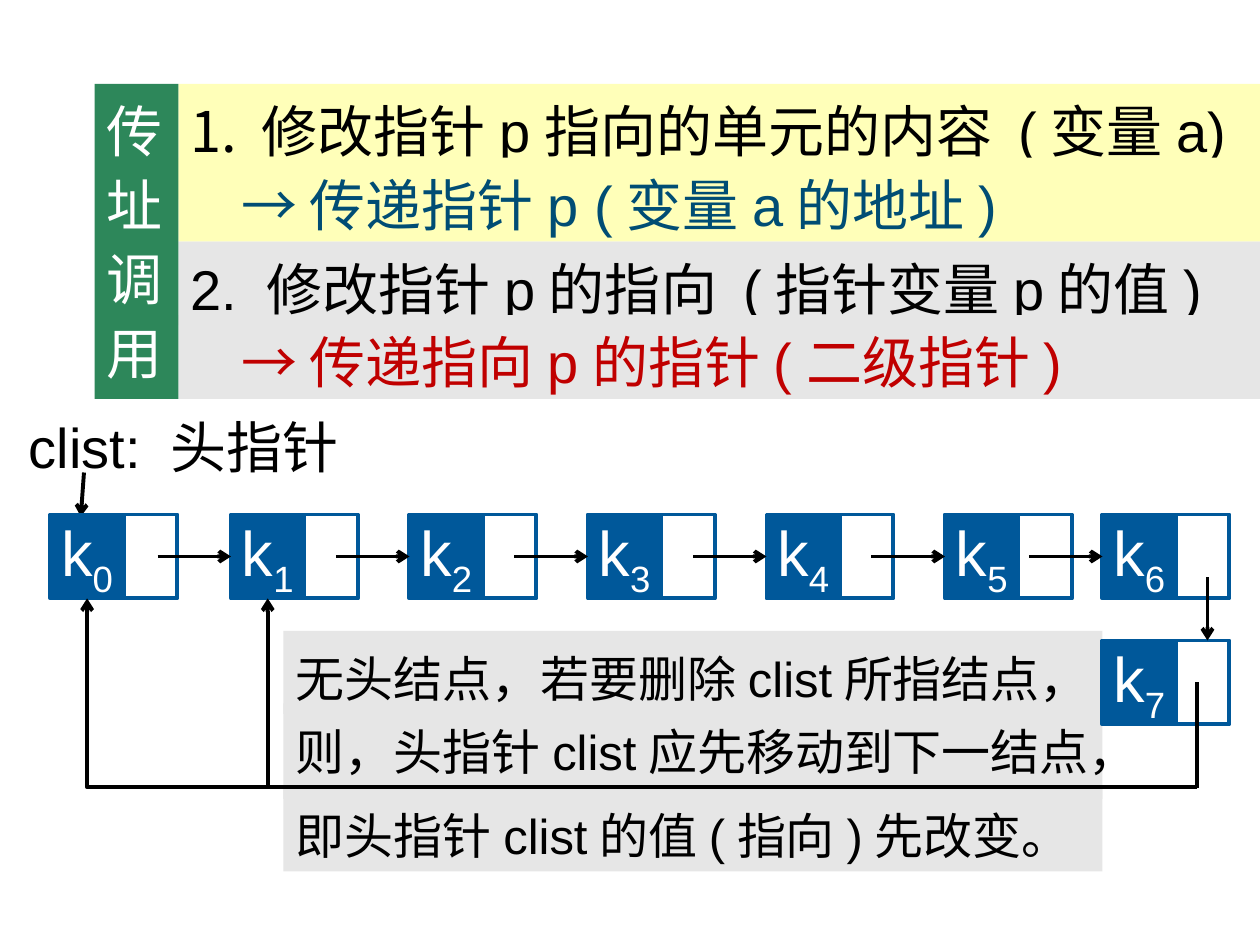
from lxml import etree
from pptx import Presentation
from pptx.dml.color import RGBColor
from pptx.enum.shapes import MSO_CONNECTOR, MSO_SHAPE
from pptx.enum.text import MSO_ANCHOR, MSO_AUTO_SIZE, PP_ALIGN
from pptx.oxml.ns import qn
from pptx.util import Inches, Pt

RECT = MSO_SHAPE.RECTANGLE
STRAIGHT = MSO_CONNECTOR.STRAIGHT
TOP, MIDDLE = MSO_ANCHOR.TOP, MSO_ANCHOR.MIDDLE
LEFT, CENTER, JUSTIFY = PP_ALIGN.LEFT, PP_ALIGN.CENTER, PP_ALIGN.JUSTIFY
LEFT_SIDE, BOTTOM_SIDE = 1, 2

THEME = {
    "font": "Arial",
    "black": "000000", "white": "FFFFFF", "blue": "00589A", "navy": "004D74",
    "red": "C00000", "green": "2D875A", "yellow": "FFFFB9", "grey": "E6E6E6",
    "heading": 32, "note": 28, "key": 36, "line": 2.25,
}

# The slide is a grid of 120 columns by 90 rows, twelve to the inch.
COLUMNS, ROWS = 120, 90
UNIT = Inches(1) / 12

prs = Presentation()
prs.slide_width, prs.slide_height = round(COLUMNS * UNIT), round(ROWS * UNIT)
shapes = prs.slides.add_slide(prs.slide_layouts[6]).shapes


def add_box(place, text="", *, subscript="", fill=None, line=None, color="black",
            size="heading", align=LEFT, anchor=TOP, wrap=True, spacing=1.0,
            margin=0, hang=0, numbered=False, grow=False):
    """Add a rectangle; place is column, row, width and height in grid units."""
    box = shapes.add_shape(RECT, *(round(n * UNIT) for n in place))
    box.shadow.inherit = False
    for part, tone in ((box.fill, fill), (box.line.fill, line)):
        if tone:
            part.solid()
            part.fore_color.rgb = RGBColor.from_string(THEME[tone])
        else:
            part.background()
    if line:
        box.line.width = Pt(THEME["line"])
    if not text:
        return box

    frame = box.text_frame
    frame.word_wrap = wrap
    frame.vertical_anchor = anchor
    if grow:
        frame.auto_size = MSO_AUTO_SIZE.SHAPE_TO_FIT_TEXT
    paragraph = frame.paragraphs[0]
    paragraph.alignment = align
    paragraph.line_spacing = spacing
    properties = paragraph._p.get_or_add_pPr()
    properties.set("marL", str(round((margin + hang) * UNIT)))
    properties.set("indent", str(round(-hang * UNIT)))
    if numbered:
        etree.SubElement(properties, qn("a:buFont"), typeface=THEME["font"])
        etree.SubElement(properties, qn("a:buAutoNum"), type="arabicPeriod")
    paragraph.font.size = Pt(THEME[size])
    for words in filter(None, (text, subscript)):
        run = paragraph.add_run()
        run.text = words
        run.font.name = THEME["font"]
        run.font.size = Pt(THEME[size])
        run.font.color.rgb = RGBColor.from_string(THEME[color])
        if words == subscript:
            run._r.get_or_add_rPr().set("baseline", "-25000")
    return box


def add_link(start, end, *, target=None, side=LEFT_SIDE, bent=False, arrow=True):
    """Add a line between two grid points, joined to a side of target if given."""
    link = shapes.add_connector(STRAIGHT, *(round(n * UNIT) for n in (*start, *end)))
    if target is not None:
        link.end_connect(target, side)
    link.line.width = Pt(THEME["line"])
    link.line.color.rgb = RGBColor.from_string(THEME["black"])
    properties = link._element.spPr
    if bent:
        properties.find(qn("a:prstGeom")).set("prst", "bentConnector2")
    if arrow:
        etree.SubElement(properties.find(qn("a:ln")), qn("a:tailEnd"), type="arrow")
    etree.SubElement(properties, qn("a:effectLst"))


# Note on deleting the first node; the middle line lies under the other two
note_format = {"fill": "grey", "size": "note", "spacing": 1.2}
for row, height, words, layout in (
    (67, 9.1, "则，头指针clist应先移动到下一结点，", {"hang": 4.5}),
    (60.1, 7.9, "无头结点，若要删除clist所指结点，", {"hang": 4.5}),
    (75, 8, "即头指针clist的值(指向)先改变。", {"align": JUSTIFY}),
):
    add_box((27, row, 78, height), words, **note_format, **layout)

# Head pointer
add_box((3, 38.9, 29, 8), "clist: 头指针", align=CENTER, anchor=MIDDLE,
        wrap=False, spacing=0.9)
add_link((8, 45), (7.7, 49.2))

# Circular list: a key cell and a next cell for each node
list_row, node_height, key_width = 49, 8, 7
first_row_columns = [4.8, *range(22, 91, 17), 105]
nodes = [(column, list_row) for column in first_row_columns] + [(105, 61)]
keys = []
for index, (column, row) in enumerate(nodes):
    add_box((column + 5.9, row, 6.2, node_height), line="blue")
    keys.append(add_box((column, row, key_width, node_height), "k",
                        subscript=str(index), fill="blue", line="blue",
                        color="white", size="key", align=CENTER,
                        anchor=MIDDLE, wrap=False))

link_row = list_row + node_height / 2
for column, key in zip(first_row_columns[1:], keys[1:]):
    add_link((column - 7, link_row), (column, link_row), target=key)
add_link((115, 55), (115, 61))

# Way back from the last node to the old and the new first node
return_column, return_row = 114, 75
add_link((return_column, 65), (return_column, return_row), arrow=False)
for column, key in zip(first_row_columns[:2], keys):
    add_link((return_column, return_row),
             (column + key_width / 2, list_row + node_height),
             target=key, side=BOTTOM_SIDE, bent=True)

# Summary of call by address
for row, height, words, layout in (
    (8, 11, "修改指针p指向的单元的内容 (变量a)",
     {"fill": "yellow", "hang": 6.75, "numbered": True}),
    (23, 8, "2. 修改指针p的指向 (指针变量p的值)", {"fill": "grey", "hang": 6.75}),
    (15, 8, "→ 传递指针p (变量a的地址)",
     {"fill": "yellow", "color": "navy", "margin": 4.8}),
    (30, 8, "→ 传递指向p的指针(二级指针)",
     {"fill": "grey", "color": "red", "margin": 4.8}),
):
    add_box((17, row, 103, height), words, spacing=1.1, **layout)
add_box((9, 8, 8, 30), "传址调用", fill="green", color="white", spacing=1.1, grow=True)

prs.save("out.pptx")
